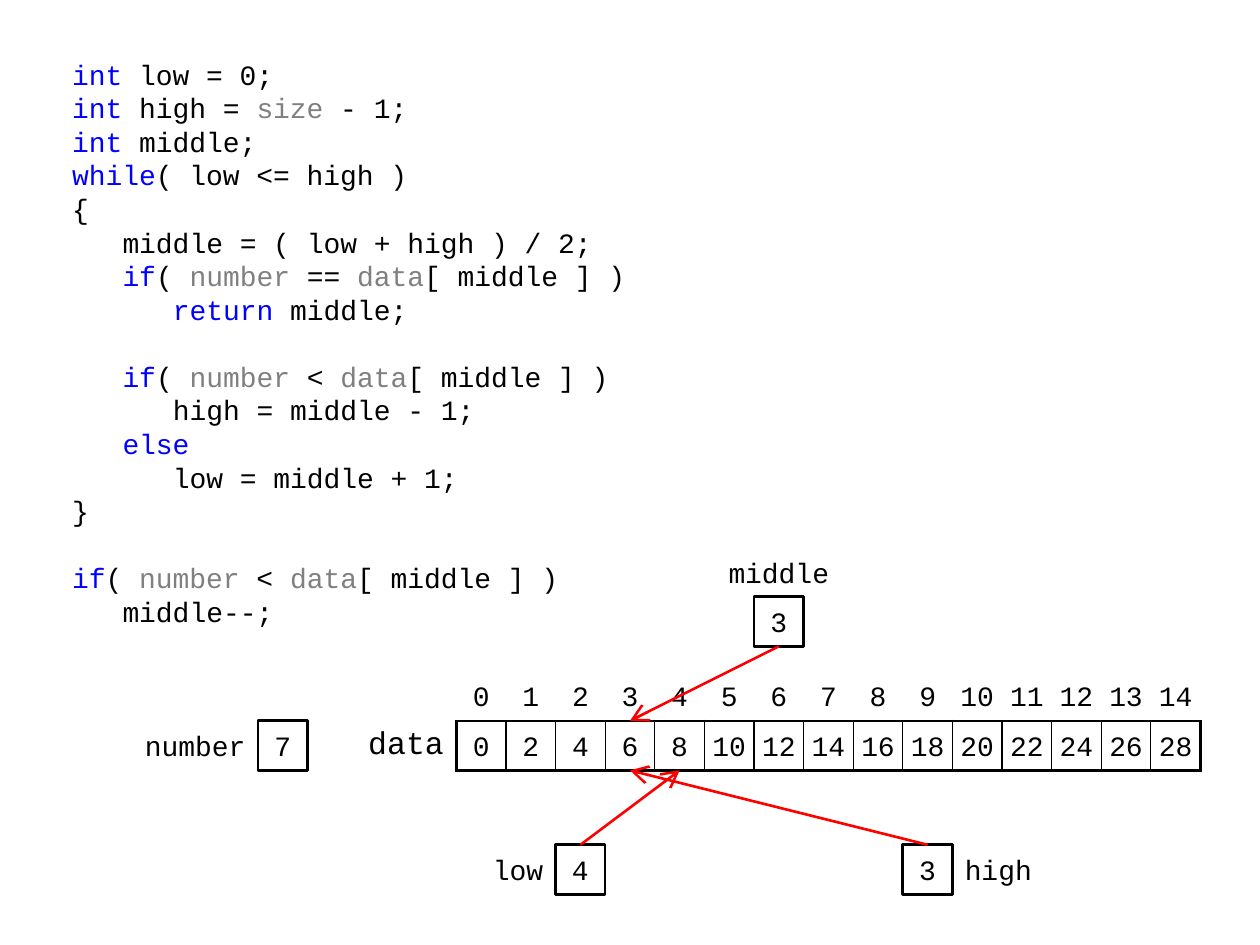
from itertools import groupby

from lxml import etree
from pptx import Presentation
from pptx.dml.color import RGBColor
from pptx.enum.shapes import MSO_CONNECTOR, MSO_SHAPE
from pptx.enum.text import MSO_ANCHOR, MSO_AUTO_SIZE, PP_ALIGN
from pptx.oxml.ns import qn
from pptx.util import Cm, Inches, Pt

LEFT, MID, RIGHT = PP_ALIGN.LEFT, PP_ALIGN.CENTER, PP_ALIGN.RIGHT
TOP, CENTER = MSO_ANCHOR.TOP, MSO_ANCHOR.MIDDLE
FONT, SIZE, THICK, THIN = "Courier New", 16, 1.5, 0.75
HEX = {"ink": "000000", "paper": "FFFFFF", "key": "0000FF",
       "param": "808080", "arrow": "FF0000"}

WORDS = {"key": ("int", "while", "if", "else", "return"),
         "param": ("size", "number", "data")}
# Blocks of code lines, each with its indent level
CODE = [
    [(0, "int low = 0;"), (0, "int high = size - 1;"), (0, "int middle;"),
     (0, "while( low <= high )"), (0, "{"),
     (1, "middle = ( low + high ) / 2;"),
     (1, "if( number == data[ middle ] )"), (2, "return middle;")],
    [(1, "if( number < data[ middle ] )"), (2, "high = middle - 1;"),
     (1, "else"), (2, "low = middle + 1;"), (0, "}")],
    [(0, "if( number < data[ middle ] )"), (1, "middle--;")],
]
COUNT = 15
ROWS = [["", *range(COUNT)], ["data", *range(0, 2 * COUNT, 2)]]
# Value, then column and row of its box
BOXES = [(4, 11, 16.5), (3, 18, 16.5), (3, 15, 11.5), (7, 5, 14)]
# Name, column, row, width, alignment
NAMES = [("middle", 14, 10.5, 3, MID), ("low", 9.5, 16.5, 1.5, RIGHT),
         ("high", 19, 16.5, 2, LEFT), ("number", 2.5, 14, 2.5, RIGHT)]
# Start column and row, index pointed at, row of the tip
ARROWS = [(11.5, 16.5, 4, 15), (18.5, 16.5, 3, 15), (15.5, 12.5, 3, 14)]
FIRST = 9  # grid column of index 0


def spot(col, row):
    """Turn a grid column and row (1 cm units) into slide lengths."""
    return Cm(0.2 + col), Cm(0.53 + row)


def tint(name):
    """Look a colour up by name."""
    return RGBColor.from_string(HEX[name])


def style(run, hue="ink", size=SIZE):
    """Set the font of a run."""
    run.font.name, run.font.size = FONT, Pt(size)
    run.font.color.rgb = tint(hue)


def put(frame, text, align):
    """Fill a frame with one vertically centred line."""
    frame.text = text
    frame.vertical_anchor = CENTER
    line = frame.paragraphs[0]
    line.alignment = align
    style(line.runs[0])


def hue_of(word):
    """Name the colour of a word of code."""
    return next((hue for hue, words in WORDS.items() if word in words), "ink")


def add_code(body):
    """Write the highlighted code into the body placeholder."""
    body.left, body.top, body.width, body.height = Cm(1.2), Cm(1), Cm(12), Cm(12)
    frame = body.text_frame
    frame.auto_size, frame.vertical_anchor = MSO_AUTO_SIZE.NONE, TOP
    frame.margin_top = Inches(0.06)
    pitch, step = Pt(1.2 * SIZE), Pt(3 * 0.6 * SIZE)
    line = None
    for part, block in enumerate(CODE):
        for place, (level, text) in enumerate(block):
            line = frame.add_paragraph() if line else frame.paragraphs[0]
            line.line_spacing = pitch
            line.space_before = pitch if part and not place else Pt(0)
            line.space_after = Pt(0)
            props = line._p.get_or_add_pPr()
            props.set("marL", str(level * step))
            props.set("indent", "0")
            etree.SubElement(props, qn("a:buNone"))
            bits = ["".join(bit) for _, bit in groupby(text, str.isalpha)]
            for hue, group in groupby(bits, hue_of):
                run = line.add_run()
                run.text = "".join(group)
                style(run, hue)


def edge(cell, widths):
    """Draw left, right, top and bottom cell borders; zero hides one."""
    props = cell._tc.get_or_add_tcPr()
    for place, (side, width) in enumerate(zip("LRTB", widths)):
        rim = etree.Element(qn("a:ln" + side), w=str(Pt(width)))
        fill = etree.SubElement(rim, qn("a:solidFill" if width else "a:noFill"))
        if width:
            etree.SubElement(fill, qn("a:srgbClr"), val=HEX["ink"])
        props.insert(place, rim)


def add_data(shapes):
    """Draw the array with its indexes."""
    x, y = spot(FIRST - 2, 13)
    table = shapes.add_table(2, COUNT + 1, x, y, Cm(COUNT + 2), Cm(2)).table
    table.first_row = table.horz_banding = False
    for row in table.rows:
        row.height = Cm(1)
    for col, part in enumerate(table.columns):
        part.width = Cm(1 if col else 2)
        for row in range(2):
            cell = table.cell(row, col)
            cell.fill.background()
            cell.margin_left = cell.margin_right = 0
            cell.margin_top = cell.margin_bottom = 0
            first, last = col == 1, col == COUNT
            if not col:
                cell.margin_left, cell.margin_right = Inches(0.08), Inches(0.1)
                edge(cell, (0, THICK * row, 0, 0))
            elif row:
                edge(cell, (THICK if first else THIN, THICK if last else THIN,
                            THICK, THICK))
            else:
                edge(cell, (0, 0, 0, THICK))
            cell.vertical_anchor = CENTER if col else TOP
            cell.text = str(ROWS[row][col])
            size = SIZE if col else 18
            line = cell.text_frame.paragraphs[0]
            line.alignment = MID if col else RIGHT
            line.line_spacing, line.space_before = 1.2, Pt(0.2 * size)
            for run in line.runs:
                style(run, size=size)


def add_box(shapes, value, col, row):
    """Draw a variable's box with its value."""
    box = shapes.add_shape(MSO_SHAPE.RECTANGLE, *spot(col, row), Cm(1), Cm(1))
    box.shadow.inherit = False
    box.fill.solid()
    box.fill.fore_color.rgb = tint("paper")
    box.line.color.rgb, box.line.width = tint("ink"), Pt(THICK)
    put(box.text_frame, str(value), MID)


def add_name(shapes, text, col, row, width, align):
    """Write a variable's name, with spare room on its open side."""
    frame = shapes.add_textbox(*spot(col, row), Cm(width), Cm(1)).text_frame
    frame.word_wrap = False
    if align == RIGHT:
        frame.margin_left = 0
    elif align == LEFT:
        frame.margin_right = 0
    put(frame, text, align)


def add_arrow(shapes, col, row, index, tip):
    """Point from a box to an element of the array."""
    arrow = shapes.add_connector(MSO_CONNECTOR.STRAIGHT, *spot(col, row),
                                 *spot(FIRST + index + 0.5, tip))
    arrow.line.color.rgb, arrow.line.width = tint("arrow"), Pt(THICK)
    etree.SubElement(arrow.line._get_or_add_ln(), qn("a:tailEnd"),
                     type="arrow", w="lg", len="lg")
    etree.SubElement(arrow._element.spPr, qn("a:effectLst"))


deck = Presentation()
deck.slide_width, deck.slide_height = Inches(10), Inches(7.5)
slide = deck.slides.add_slide(deck.slide_layouts[1])
title = slide.shapes.title._element
title.getparent().remove(title)
add_code(slide.placeholders[1])
add_data(slide.shapes)
for draw, items in ((add_box, BOXES), (add_name, NAMES), (add_arrow, ARROWS)):
    for item in items:
        draw(slide.shapes, *item)
deck.save("out.pptx")
